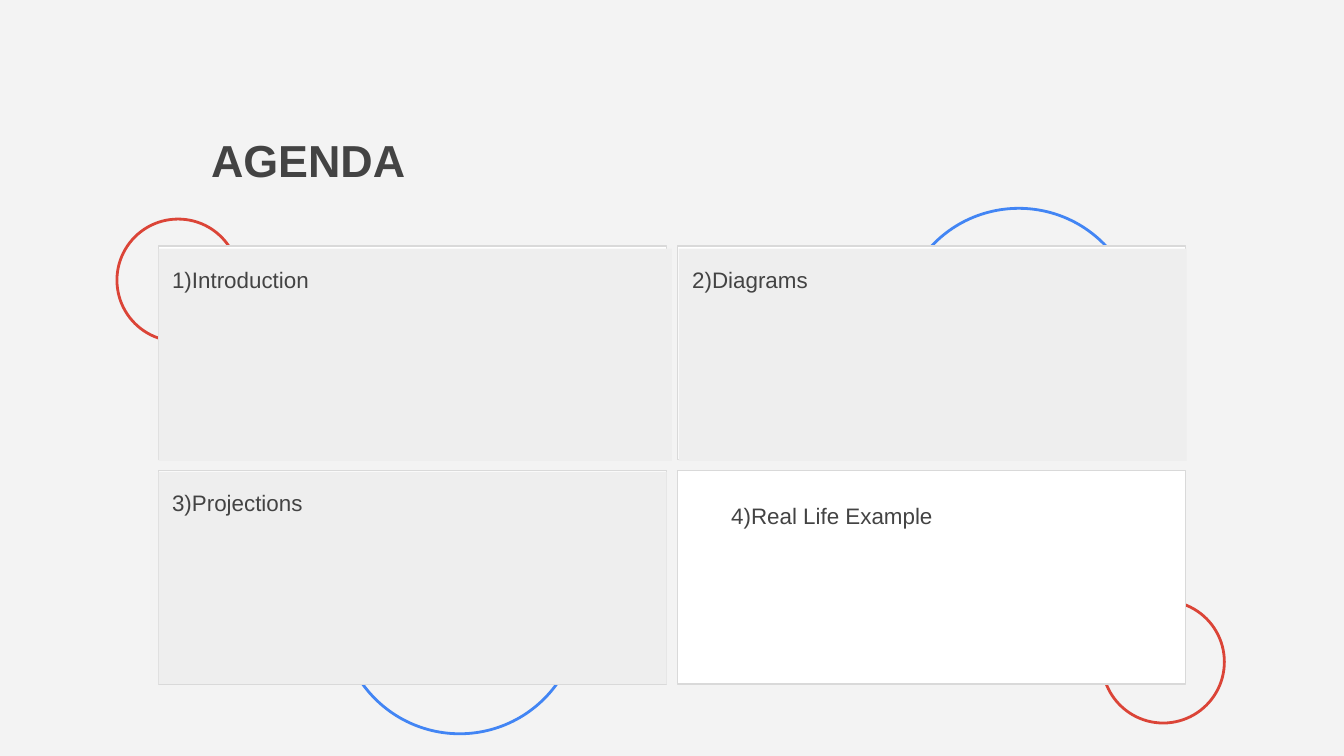
from dataclasses import dataclass

from pptx import Presentation
from pptx.dml.color import RGBColor
from pptx.enum.shapes import MSO_SHAPE
from pptx.enum.text import MSO_ANCHOR, MSO_AUTO_SIZE, PP_ALIGN
from pptx.oxml.ns import qn
from pptx.util import Inches, Pt


@dataclass(frozen=True)
class Theme:
    background: RGBColor = RGBColor(0xF3, 0xF3, 0xF3)
    card: RGBColor = RGBColor(0xFF, 0xFF, 0xFF)
    border: RGBColor = RGBColor(0xD9, 0xD9, 0xD9)
    panel: RGBColor = RGBColor(0xEE, 0xEE, 0xEE)
    text: RGBColor = RGBColor(0x43, 0x43, 0x43)
    blue: RGBColor = RGBColor(0x42, 0x85, 0xF4)
    red: RGBColor = RGBColor(0xDB, 0x44, 0x37)
    font: str = "Arial"
    title_size: Pt = Pt(24)
    body_size: Pt = Pt(12)


theme = Theme()


def add_outlined(kind, box, color, width, fill=None):
    s = slide.shapes.add_shape(kind, *map(Inches, box))
    s.shadow.inherit = False
    if fill is None:
        s.fill.background()
    else:
        s.fill.solid()
        s.fill.fore_color.rgb = fill
    s.line.color.rgb = color
    s.line.width = Pt(width)


def fill_placeholder(s, box, text, size, bold, anchor, paragraph_format):
    s.left, s.top, s.width, s.height = map(Inches, box)
    tf = s.text_frame
    frame_format = {"word_wrap": True, "auto_size": MSO_AUTO_SIZE.NONE, "vertical_anchor": anchor}
    for side in ("left", "top", "right", "bottom"):
        frame_format[f"margin_{side}"] = Inches(0.1)
    for name, value in frame_format.items():
        setattr(tf, name, value)
    p = tf.paragraphs[0]
    pPr = p._p.get_or_add_pPr()
    pPr.set("marL", "0")
    pPr.set("indent", "0")
    pPr.append(pPr.makeelement(qn("a:buNone"), {}))
    for name, value in paragraph_format.items():
        setattr(p, name, value)
    r = p.add_run()
    r.text = text
    for name, value in {"name": theme.font, "size": size, "bold": bold}.items():
        setattr(r.font, name, value)
    r.font.color.rgb = theme.text
    # Bring the placeholder in front of the decoration
    slide.shapes._spTree.append(s._element)


prs = Presentation()
prs.slide_width = Inches(10)
prs.slide_height = Inches(10 * 9 / 16)
slide = prs.slides.add_slide(prs.slide_layouts.get_by_name("Comparison"))
slide.background.fill.solid()
slide.background.fill.fore_color.rgb = theme.background

# Circles that show from behind the cards
circles = [
    (2.53, 3.68, 1.78, theme.blue),
    (6.69, 1.55, 1.78, theme.blue),
    (8.2, 4.47, 0.91, theme.red),
    (0.87, 1.63, 0.91, theme.red),
]
for x, y, diameter, color in circles:
    add_outlined(MSO_SHAPE.OVAL, (x, y, diameter, diameter), color, 1.5)

# Two by two grid of cards
for y in (1.83, 3.5):
    for x in (1.18, 5.04):
        add_outlined(MSO_SHAPE.RECTANGLE, (x, y, 3.78, 1.59), theme.border, 0.75, theme.card)

title, *bodies = slide.placeholders
fill_placeholder(title, (1.47, 0.49, 7.05, 1), "AGENDA", theme.title_size, True,
                 MSO_ANCHOR.BOTTOM, {"alignment": PP_ALIGN.LEFT})

body_format = {
    "alignment": PP_ALIGN.LEFT,
    "line_spacing": 1.15,
    "space_before": Pt(0),
    "space_after": Pt(16),
}
topics = [
    ("1)Introduction", (1.18, 1.85, 3.82, 1.58), theme.panel),
    ("2)Diagrams", (5.05, 1.85, 3.78, 1.58), theme.panel),
    ("3)Projections", (1.18, 3.51, 3.78, 1.58), theme.panel),
    ("4)Real Life Example", (5.34, 3.61, 3.19, 1.38), None),
]
for s, (text, box, fill) in zip(bodies, topics):
    fill_placeholder(s, box, text, theme.body_size, False, MSO_ANCHOR.TOP, body_format)
    if fill is not None:
        s.fill.solid()
        s.fill.fore_color.rgb = fill

prs.save("out.pptx")
